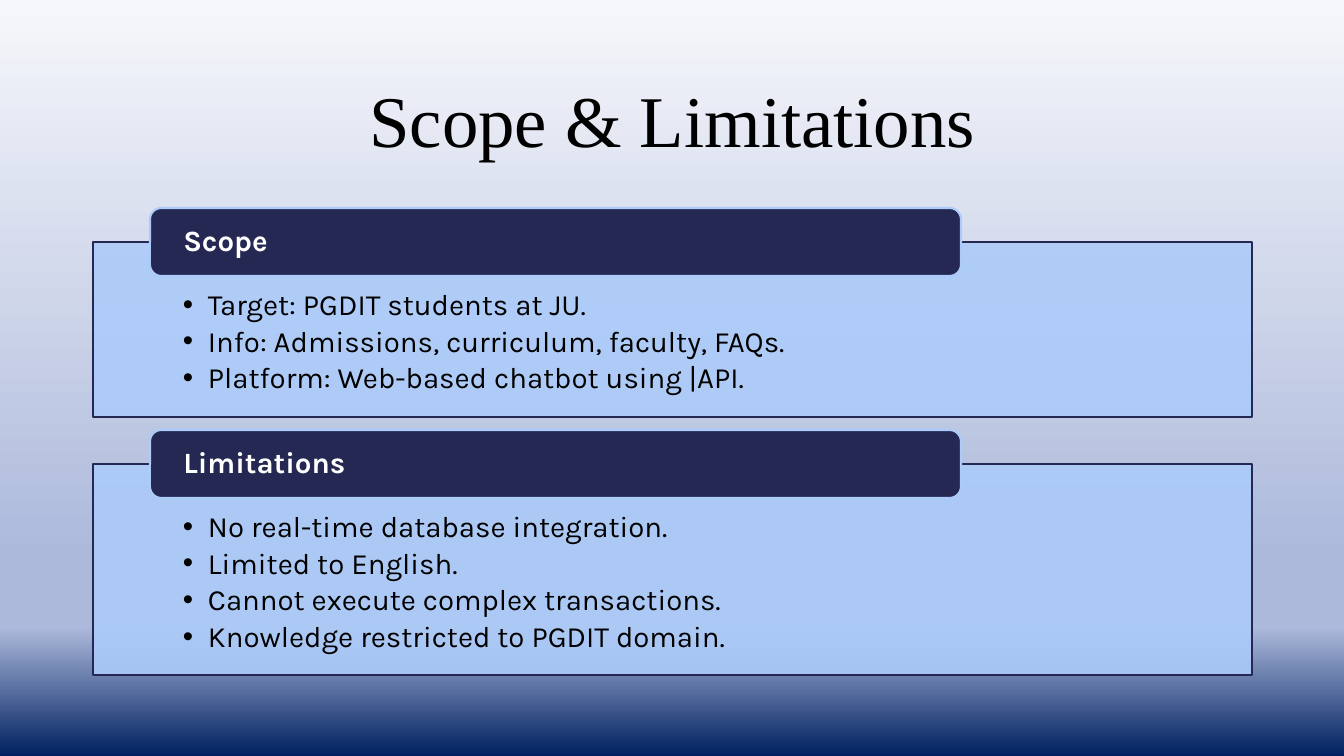
from dataclasses import dataclass

from lxml.etree import SubElement
from pptx import Presentation
from pptx.dml.color import RGBColor
from pptx.enum.shapes import MSO_SHAPE as Shape
from pptx.enum.text import MSO_ANCHOR as Anchor, PP_ALIGN as Align
from pptx.oxml.ns import qn
from pptx.util import Emu, Pt

PX = 914400 / 100.8
NAVY, SKY, BLACK, WHITE = "242852", "ACCBF9", "000000", "FFFFFF"
BACKDROP = [(0, "F6F7FB"), (74, "ACB9DB"), (83, "ACB9DB"), (100, "002060")]
LEFT, WIDTH = 93, 1159
TAB_LEFT, TAB_RISE, TAB_WIDTH, TAB_HEIGHT = 150, 34, 811, 68


@dataclass
class Section:
    """A panel of bullets under a heading tab."""
    heading: str
    top: int
    height: int
    items: list[str]


SECTIONS = [
    Section("Scope", 242, 175, [
        "Target: PGDIT students at JU.",
        "Info: Admissions, curriculum, faculty, FAQs.",
        "Platform: Web-based chatbot using |API.",
    ]),
    Section("Limitations", 464, 211, [
        "No real-time database integration.",
        "Limited to English.",
        "Cannot execute complex transactions.",
        "Knowledge restricted to PGDIT domain.",
    ]),
]


def px(n: float) -> Emu:
    """Turn pixels into EMU."""
    return Emu(round(n * PX))


def rgb(value: str) -> RGBColor:
    """Turn a hex string into a colour."""
    return RGBColor.from_string(value)


def add_bullet(p) -> None:
    """Give a paragraph a hanging round bullet."""
    pPr = p._p.get_or_add_pPr()
    pPr.set("marL", str(px(25)))
    pPr.set("indent", str(px(-25)))
    SubElement(pPr, qn("a:buFont"), typeface="Arial")
    SubElement(pPr, qn("a:buChar"), char="•")


def write(sp, lines: list[str], *, size: float = 21, font: str = "Karla",
          color: str = BLACK, bold: bool = False, align=Align.LEFT,
          anchor=Anchor.MIDDLE, insets: tuple = (0, 0, 0, 0),
          after: float = 0, bullets: bool = False) -> None:
    """Write one paragraph a line into a shape."""
    tf = sp.text_frame
    tf.word_wrap = True
    tf.vertical_anchor = anchor
    tf.margin_left, tf.margin_top, tf.margin_right, tf.margin_bottom = map(px, insets)
    for i, line in enumerate(lines):
        p = tf.add_paragraph() if i else tf.paragraphs[0]
        p.alignment, p.line_spacing, p.space_after = align, 0.9, Pt(after)
        if bullets:
            add_bullet(p)
        r = p.add_run()
        r.text = line
        r.font.size, r.font.name, r.font.bold = Pt(size), font, bold
        r.font.color.rgb = rgb(color)


def add_box(s, kind, x: int, y: int, w: int, h: int, fill: str, line: str,
            opacity: int = 100):
    """Add a filled and outlined shape."""
    sp = s.shapes.add_shape(kind, px(x), px(y), px(w), px(h))
    sp.shadow.inherit = False
    sp.fill.solid()
    sp.fill.fore_color.rgb = rgb(fill)
    if opacity < 100:
        clr = sp._element.spPr.find(qn("a:solidFill"))[0]
        SubElement(clr, qn("a:alpha"), val=str(opacity * 1000))
    sp.line.color.rgb = rgb(line)
    sp.line.width = Pt(1.5)
    return sp


def set_backdrop(s) -> None:
    """Fill the slide background with the vertical gradient."""
    fill = s.background.fill
    fill.gradient()
    fill.gradient_angle = 270
    stops = s.element.find(".//" + qn("a:gsLst"))
    for stop in list(stops):
        stops.remove(stop)
    for pos, color in BACKDROP:
        stop = SubElement(stops, qn("a:gs"), pos=str(pos * 1000))
        SubElement(stop, qn("a:srgbClr"), val=color)


def add_section(s, section: Section) -> None:
    """Draw a panel with its heading tab."""
    panel = add_box(s, Shape.RECTANGLE, LEFT, section.top, WIDTH, section.height,
                    SKY, NAVY, opacity=90)
    write(panel, section.items, anchor=Anchor.TOP, insets=(90, 48, 90, 16),
          after=3.5, bullets=True)
    tab = add_box(s, Shape.ROUNDED_RECTANGLE, TAB_LEFT, section.top - TAB_RISE,
                  TAB_WIDTH, TAB_HEIGHT, NAVY, SKY)
    write(tab, [section.heading], color=WHITE, bold=True, insets=(30, 0, 30, 0))


def main() -> None:
    """Build and save the slide."""
    prs = Presentation()
    prs.slide_width, prs.slide_height = px(1344), px(756)
    s = prs.slides.add_slide(prs.slide_layouts[6])
    set_backdrop(s)
    title = s.shapes.add_textbox(px(LEFT), px(61), px(WIDTH), px(125))
    write(title, ["Scope & Limitations"], size=52, font="Times New Roman",
          align=Align.CENTER)
    for section in SECTIONS:
        add_section(s, section)
    prs.save("out.pptx")


if __name__ == "__main__":
    main()
